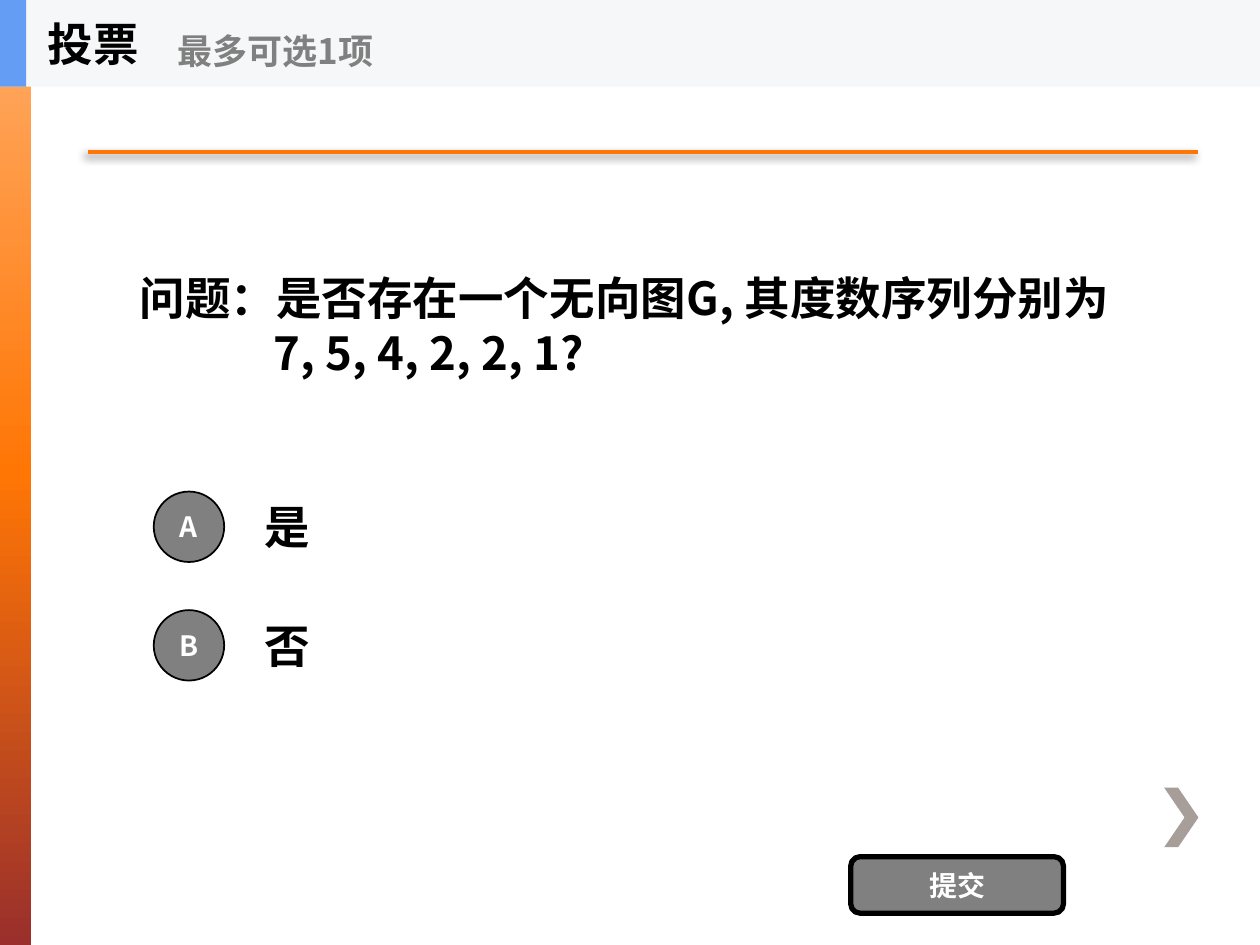
from dataclasses import dataclass

from lxml.etree import SubElement
from pptx import Presentation
from pptx.dml.color import RGBColor
from pptx.enum.shapes import MSO_CONNECTOR, MSO_SHAPE
from pptx.enum.text import MSO_ANCHOR, PP_ALIGN
from pptx.oxml import parse_xml
from pptx.oxml.ns import nsdecls, qn
from pptx.util import Cm, Pt

FONT = "Noto Sans CJK SC"
BLACK, WHITE, GREY, ORANGE = "000000", "FFFFFF", "808080", "FF7605"
WIDTH, HEIGHT = 25.4, 19.05
HEADER_H = 1.75


@dataclass
class Option:
    letter: str
    label: str


OPTIONS = [Option("A", "是"), Option("B", "否")]


def color(value: str) -> RGBColor:
    return RGBColor.from_string(value)


def write(sp, *lines: str, size: float = 26, fill: str = BLACK,
          align=PP_ALIGN.LEFT, wrap: bool = True) -> None:
    """Fill a shape with one bold paragraph per line."""
    tf = sp.text_frame
    tf.word_wrap = wrap
    tf.vertical_anchor = MSO_ANCHOR.MIDDLE
    for i, line in enumerate(lines):
        p = tf.add_paragraph() if i else tf.paragraphs[0]
        p.alignment = align
        r = p.add_run()
        r.text = line
        r.font.size, r.font.bold, r.font.name = Pt(size), True, FONT
        r.font.color.rgb = color(fill)
        SubElement(r.font._element, qn("a:ea")).set("typeface", FONT)


def add_text(shapes, x: float, y: float, w: float, h: float, *lines: str, **fmt):
    sp = shapes.add_textbox(Cm(x), Cm(y), Cm(w), Cm(h))
    write(sp, *lines, **fmt)
    return sp


def add_box(shapes, kind, x: float, y: float, w: float, h: float,
            fill: str, line: float = 0):
    sp = shapes.add_shape(kind, Cm(x), Cm(y), Cm(w), Cm(h))
    sp.shadow.inherit = False
    sp.fill.solid()
    sp.fill.fore_color.rgb = color(fill)
    if line:
        sp.line.color.rgb = color(BLACK)
        sp.line.width = Pt(line)
    else:
        sp.line.fill.background()
    return sp


def set_gradient(sp, *stops: tuple[int, str]) -> None:
    """Vertical gradient from (percent, colour) stops."""
    sp.fill.gradient()
    sp.fill.gradient_angle = 270  # counter-clockwise: top to bottom
    gs_lst = sp._element.spPr.find(qn("a:gradFill")).find(qn("a:gsLst"))
    for gs in list(gs_lst):
        gs_lst.remove(gs)
    for percent, value in stops:
        gs = SubElement(gs_lst, qn("a:gs"), pos=str(percent * 1000))
        SubElement(gs, qn("a:srgbClr"), val=value)


def add_rule(shapes, x1: float, x2: float, y: float) -> None:
    """Orange rule with a soft shadow."""
    line = shapes.add_connector(MSO_CONNECTOR.STRAIGHT, Cm(x1), Cm(y), Cm(x2), Cm(y))
    line.line.color.rgb = color(ORANGE)
    line.line.width = Pt(2.5)
    line._element.spPr.append(parse_xml(
        f'<a:effectLst {nsdecls("a")}><a:outerShdw blurRad="{Pt(5)}" dist="{Pt(3)}" '
        f'dir="8100000" algn="tl" rotWithShape="0"><a:srgbClr val="{BLACK}">'
        '<a:alpha val="45000"/></a:srgbClr></a:outerShdw></a:effectLst>'))


def add_chevron(shapes, x: int, y: int, w: int, h: int, arm: int) -> None:
    """Right-pointing chevron, in hundredths of a centimetre."""
    fb = shapes.build_freeform(x + arm, y, scale=Cm(0.01))
    fb.add_line_segments([(x, y), (x + w - arm, y + h // 2), (x, y + h),
                          (x + arm, y + h), (x + w, y + h // 2)], close=True)
    sp = fb.convert_to_shape()
    sp.shadow.inherit = False
    sp.fill.solid()
    sp.fill.fore_color.rgb = color("A79D99")
    sp.line.fill.background()


def main() -> None:
    prs = Presentation()
    prs.slide_width, prs.slide_height = Cm(WIDTH), Cm(HEIGHT)
    s = prs.slides.add_slide(prs.slide_layouts[6])
    shapes = s.shapes

    # Background decoration
    bar = add_box(shapes, MSO_SHAPE.RECTANGLE, 0, 0, 0.63, HEIGHT, ORANGE)
    set_gradient(bar, (0, "FFAD69"), (50, ORANGE), (100, "9A2F2C"))
    add_chevron(shapes, 2347, 1588, 69, 120, 28)
    add_rule(shapes, 1.78, 24.15, 3.07)

    # Question, with the sequence indented under its text
    question = add_text(shapes, 2.57, 3.58, 20.32, 5.94,
                        "问题：是否存在一个无向图G, 其度数序列分别为", "7, 5, 4, 2, 2, 1?")
    pPr = question.text_frame.paragraphs[1]._p.get_or_add_pPr()
    pPr.set("marL", str(Cm(2.7)))
    pPr.set("indent", "0")

    # Options
    for i, option in enumerate(OPTIONS):
        y = 9.73 + 2.39 * i
        add_text(shapes, 5.08, y, 17.78, 1.78, option.label)
        badge = add_box(shapes, MSO_SHAPE.OVAL, 3.1, y + 0.18, 1.42, 1.42, GREY, line=1)
        write(badge, option.letter, size=16, fill=WHITE, align=PP_ALIGN.CENTER)

    # Submit button
    button = add_box(shapes, MSO_SHAPE.ROUNDED_RECTANGLE, 17.15, 17.27, 4.29, 1.14, GREY, line=3)
    write(button, "提交", size=16, fill=WHITE, align=PP_ALIGN.CENTER)

    # Header
    header = shapes.add_group_shape().shapes
    add_box(header, MSO_SHAPE.RECTANGLE, 0, 0, WIDTH, HEADER_H, "F6F7F8")
    add_box(header, MSO_SHAPE.RECTANGLE, 0, 0, 0.53, HEADER_H, "639EF4")
    add_text(header, 0.71, 0, 5.28, HEADER_H, "投票", wrap=False)
    add_text(header, 3.33, 0.3, 6.35, 1.42, "最多可选1项", size=20, fill=GREY, wrap=False)

    prs.save("out.pptx")


if __name__ == "__main__":
    main()
